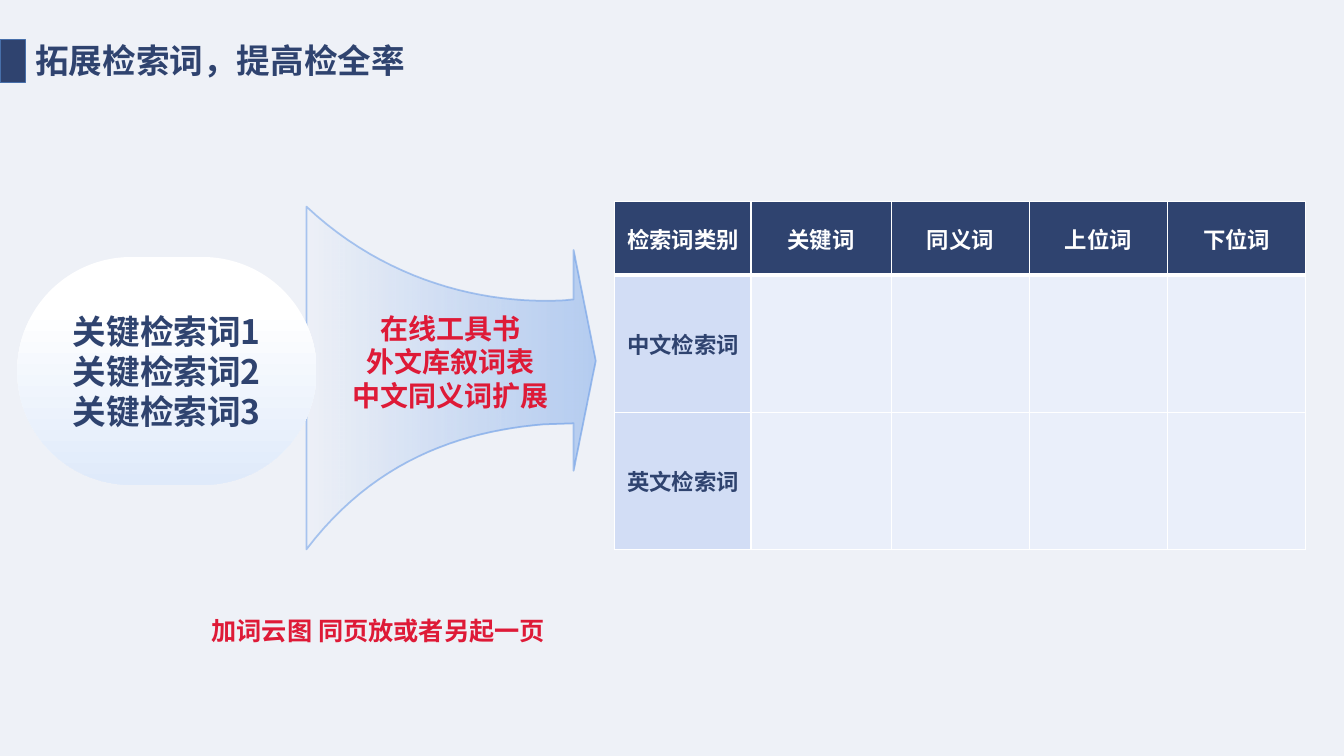
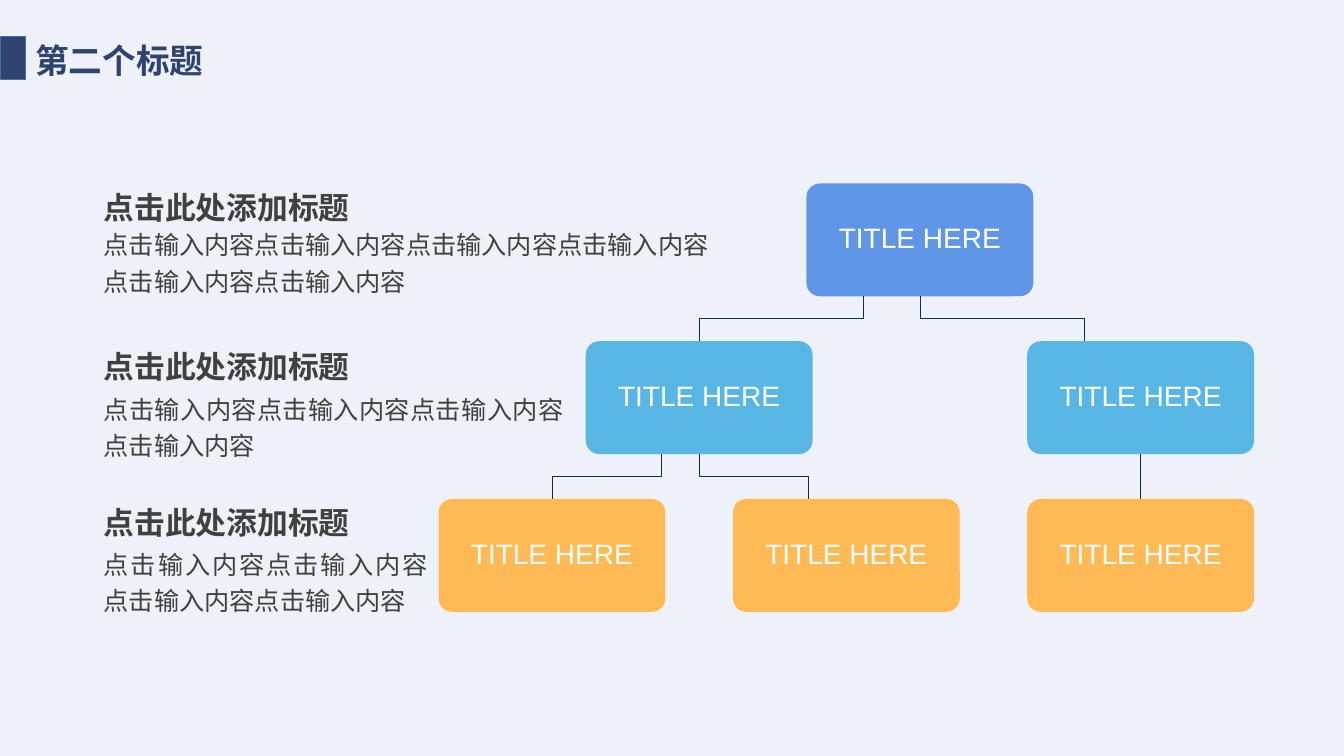
from dataclasses import dataclass

from lxml import etree
from pptx import Presentation
from pptx.dml.color import RGBColor
from pptx.enum.shapes import MSO_CONNECTOR, MSO_SHAPE
from pptx.enum.text import MSO_ANCHOR, MSO_AUTO_SIZE, PP_ALIGN
from pptx.oxml import parse_xml
from pptx.oxml.ns import nsdecls, qn
from pptx.util import Inches, Pt


@dataclass(frozen=True)
class Theme:
    # Colours
    page: str = "EEF1F7"
    navy: str = "2F436F"
    marker_edge: str = "476FAA"
    blue: str = "6096E6"
    sky: str = "58B6E5"
    amber: str = "FFBA55"
    pale: str = "DFEAFA"
    row_head: str = "D2DDF5"
    row_body: str = "EAEFFA"
    red: str = "DE1A37"
    grey: str = "404040"
    white: str = "FFFFFF"
    branch: str = "0B3145"
    # Type
    latin: str = "Arial"
    chinese: str = "Noto Sans CJK SC"
    title_size: int = 24
    heading_size: int = 22
    label_size: int = 20
    body_size: int = 18
    table_size: int = 16


THEME = Theme()


def bezier(p0, p1, p2, p3, steps=24):
    """Points along a cubic curve, without its first point."""
    points = []
    for step in range(1, steps + 1):
        t = step / steps
        weights = ((1 - t) ** 3, 3 * t * (1 - t) ** 2, 3 * t * t * (1 - t), t ** 3)
        points.append(tuple(sum(w * p[axis] for w, p in zip(weights, (p0, p1, p2, p3)))
                            for axis in (0, 1)))
    return points


class Deck:
    """Style and current slide; lengths are percentages of the slide's size."""

    def __init__(self, theme):
        self.theme = theme
        self.prs = Presentation()
        self.prs.slide_width, self.prs.slide_height = Inches(13.333), Inches(7.5)
        background = self.prs.slide_master.background.fill
        background.solid()
        background.fore_color.rgb = RGBColor.from_string(theme.page)
        self.slide = None

    def x(self, share):
        return round(self.prs.slide_width * share / 100)

    def y(self, share):
        return round(self.prs.slide_height * share / 100)

    def box(self, left, top, width, height):
        return self.x(left), self.y(top), self.x(width), self.y(height)

    def typeset(self, frame, lines, size, color, font=None, bold=False,
                align=PP_ALIGN.LEFT, spacing=None):
        """Fill a text frame with one paragraph per line."""
        for index, line in enumerate(lines):
            paragraph = frame.paragraphs[0] if index == 0 else frame.add_paragraph()
            paragraph.alignment = align
            if spacing:
                paragraph.line_spacing = spacing
            run = paragraph.add_run()
            run.text = line
            formats = {"size": Pt(size), "bold": bold, "name": font or self.theme.chinese}
            for name, value in formats.items():
                setattr(run.font, name, value)
            run.font.color.rgb = RGBColor.from_string(color)
            etree.SubElement(run._r.get_or_add_rPr(), qn("a:ea"),
                             typeface=self.theme.chinese)

    def paint(self, shape, fill=None, line=None, width=1):
        """Flat fill and line; None leaves the part empty."""
        shape.shadow.inherit = False
        if fill:
            shape.fill.solid()
            shape.fill.fore_color.rgb = RGBColor.from_string(fill)
        else:
            shape.fill.background()
        if line:
            shape.line.color.rgb = RGBColor.from_string(line)
            shape.line.width = Pt(width)
        else:
            shape.line.fill.background()

    def gradient(self, shape, stops, angle):
        """Replace an empty fill by (position, colour, opacity) stops."""
        marks = "".join(
            f'<a:gs pos="{pos * 1000}"><a:srgbClr val="{color}">'
            f'<a:alpha val="{opacity * 1000}"/></a:srgbClr></a:gs>'
            for pos, color, opacity in stops)
        properties = shape._element.spPr
        properties.replace(properties.find(qn("a:noFill")), parse_xml(
            f'<a:gradFill {nsdecls("a")} rotWithShape="1"><a:gsLst>{marks}</a:gsLst>'
            f'<a:lin ang="{angle * 60000}" scaled="0"/></a:gradFill>'))

    def add_slide(self, title, marker_top):
        self.slide = self.prs.slides.add_slide(self.prs.slide_layouts[5])
        heading = self.slide.shapes.title
        heading.left, heading.top, heading.width, heading.height = self.box(
            1.88, 4.67, 30.45, 6.67)
        frame = heading.text_frame
        for name, value in {"word_wrap": True, "auto_size": MSO_AUTO_SIZE.NONE,
                            "vertical_anchor": MSO_ANCHOR.TOP}.items():
            setattr(frame, name, value)
        self.typeset(frame, [title], self.theme.title_size, self.theme.navy, bold=True)
        marker = self.shape(MSO_SHAPE.RECTANGLE, (0, marker_top, 1.88, 5.73))
        self.paint(marker, self.theme.navy, self.theme.marker_edge)

    def text(self, place, lines, **style):
        frame = self.slide.shapes.add_textbox(*self.box(*place)).text_frame
        frame.word_wrap = True
        self.typeset(frame, lines, **style)

    def shape(self, kind, place, lines=(), rounding=None, inset=0, **style):
        shape = self.slide.shapes.add_shape(kind, *self.box(*place))
        if rounding is not None:
            shape.adjustments[0] = rounding
        if lines:
            frame = shape.text_frame
            frame.word_wrap = True
            frame.vertical_anchor = MSO_ANCHOR.MIDDLE
            for side in ("left", "right", "top", "bottom"):
                setattr(frame, f"margin_{side}", Inches(inset))
            self.typeset(frame, lines, align=PP_ALIGN.CENTER, **style)
        return shape

    def outline(self, points, close):
        corners = [(self.x(px), self.y(py)) for px, py in points]
        builder = self.slide.shapes.build_freeform(*corners[0])
        builder.add_line_segments(corners[1:], close=close)
        return builder.convert_to_shape()

    def branch(self, parent, child, start, end):
        """Elbow from a share of the parent's bottom to a share of the child's top."""
        x1, x2 = parent[0] + start * parent[2], child[0] + end * child[2]
        y1, y2 = parent[1] + parent[3], child[1]
        middle = (y1 + y2) / 2
        elbow = self.outline([(x1, y1), (x1, middle), (x2, middle), (x2, y2)], False)
        self.paint(elbow, line=self.theme.branch, width=0.5)

    def link(self, upper, lower):
        line = self.slide.shapes.add_connector(MSO_CONNECTOR.STRAIGHT, 0, 0, 0, 0)
        line.begin_connect(upper, 2)
        line.end_connect(lower, 0)
        line.line.color.rgb = RGBColor.from_string(self.theme.branch)
        line.line.width = Pt(0.5)
        etree.SubElement(line._element.spPr, qn("a:effectLst"))

    def cell(self, cell, text, fill, color, font, bottom):
        properties = cell._tc.get_or_add_tcPr()
        for side, width in (("L", 1), ("R", 1), ("T", 1), ("B", bottom)):
            properties.append(parse_xml(
                f'<a:ln{side} {nsdecls("a")} w="{Pt(width)}"><a:solidFill>'
                f'<a:srgbClr val="{self.theme.white}"/></a:solidFill></a:ln{side}>'))
        cell.fill.solid()
        cell.fill.fore_color.rgb = RGBColor.from_string(fill)
        cell.vertical_anchor = MSO_ANCHOR.MIDDLE
        if text:
            self.typeset(cell.text_frame, [text], self.theme.table_size, color, font,
                         True, PP_ALIGN.CENTER)

    def table(self, left, top, widths, heights, header, row_names):
        theme = self.theme
        place = self.box(left, top, sum(widths), sum(heights))
        table = self.slide.shapes.add_table(len(heights), len(widths), *place).table
        for column, width in zip(table.columns, widths):
            column.width = self.x(width)
        for row, height in zip(table.rows, heights):
            row.height = self.y(height)
        for col, name in enumerate(header):
            self.cell(table.cell(0, col), name, theme.navy, theme.white, theme.latin, 3)
        for row, name in enumerate(row_names, 1):
            for col in range(len(header)):
                self.cell(table.cell(row, col), "" if col else name,
                          theme.row_body if col else theme.row_head,
                          theme.navy, theme.chinese, 1)


def search_terms(deck):
    theme = deck.theme
    deck.add_slide("拓展检索词，提高检全率", 5.2)

    # Funnel arrow from the keywords to the table
    upper_left, lower_left = (22.8, 27.33), (22.8, 72.67)
    funnel = deck.outline(
        [upper_left,
         *bezier(upper_left, (28.8, 37.33), (36.08, 40.27), (41.93, 39.73)),
         (42.68, 39.6), (42.68, 33.07), (44.33, 47.73), (42.68, 62.27), (42.68, 56),
         (40.43, 56.13),
         *bezier((40.43, 56.13), (34.2, 57.07), (27.83, 60.93), lower_left)], True)
    deck.paint(funnel, line=theme.blue, width=1.25)
    deck.gradient(funnel, [(0, theme.blue, 0), (47, theme.blue, 20),
                           (100, theme.blue, 40)], 0)
    # The funnel's line is half as strong as its colour
    line_color = funnel.line._ln.find(".//" + qn("a:srgbClr"))
    etree.SubElement(line_color, qn("a:alpha"), val="50000")

    # Keywords
    keywords = deck.shape(MSO_SHAPE.ROUNDED_RECTANGLE, (1.28, 34, 22.28, 30.13),
                          [f"关键检索词{number}" for number in (1, 2, 3)], rounding=0.5,
                          size=theme.title_size, color=theme.navy, bold=True)
    deck.paint(keywords)
    deck.gradient(keywords, [(23, theme.white, 100), (100, theme.pale, 100)], 90)

    # Tools on the arrow
    deck.text((25.43, 40.53, 16.2, 13.73), ["在线工具书", "外文库叙词表", "中文同义词扩展"],
              size=theme.label_size, color=theme.red, bold=True, align=PP_ALIGN.CENTER)

    # Table of terms
    deck.table(45.75, 26.67, [10.13, 10.43] + [10.28] * 3, [9.73, 18.13, 18.13],
               ["检索词类别", "关键词", "同义词", "上位词", "下位词"],
               ["中文检索词", "英文检索词"])
    deck.text((15, 80.67, 33.3, 5.33), ["加词云图 同页放或者另起一页"],
              size=theme.body_size, color=theme.red, font=theme.latin, bold=True)


def title_tree(deck):
    theme = deck.theme
    deck.add_slide("第二个标题", 4.8)

    # Tree nodes as (column, level)
    def place(column, level):
        return 32.63 + 21.9 * column, 24.27 + 20.87 * level, 16.88, 14.93

    root, left, right = (1.25, 0), (0.5, 1), (2, 1)
    leaves = [(column, 2) for column in range(3)]
    level_colors = (theme.blue, theme.sky, theme.amber)
    nodes = {}
    for node in (root, left, right, *leaves):
        nodes[node] = deck.shape(MSO_SHAPE.ROUNDED_RECTANGLE, place(*node),
                                 ["TITLE HERE"], rounding=0.12, inset=0.2,
                                 size=theme.label_size, color=theme.white,
                                 font=theme.latin, spacing=0.9)
        deck.paint(nodes[node], level_colors[node[1]])

    # Branches
    for parent, child, start, end in ((root, left, 1 / 4, 1 / 2),
                                      (root, right, 1 / 2, 1 / 4),
                                      (left, leaves[0], 1 / 3, 1 / 2),
                                      (left, leaves[1], 1 / 2, 1 / 3)):
        deck.branch(place(*parent), place(*child), start, end)
    deck.link(nodes[right], nodes[leaves[2]])

    # Text beside each level
    phrase = "点击输入内容"
    for heading_top, body_top, width, lines in (
            (22.8, 28.93, 48.83, [phrase * 4, phrase * 2]),
            (43.87, 50.67, 35.7, [phrase * 4]),
            (64.53, 71.2, 25.58, [phrase * 4])):
        deck.text((6.98, body_top, width, 11.07), lines, size=theme.body_size,
                  color=theme.grey, align=PP_ALIGN.JUSTIFY, spacing=1.2)
        deck.text((6.98, heading_top, 21, 7.07), ["点击此处添加标题"],
                  size=theme.heading_size, color=theme.grey, font=theme.latin,
                  bold=True, spacing=1.3)


def main():
    deck = Deck(THEME)
    search_terms(deck)
    title_tree(deck)
    deck.prs.save("out.pptx")


if __name__ == "__main__":
    main()
